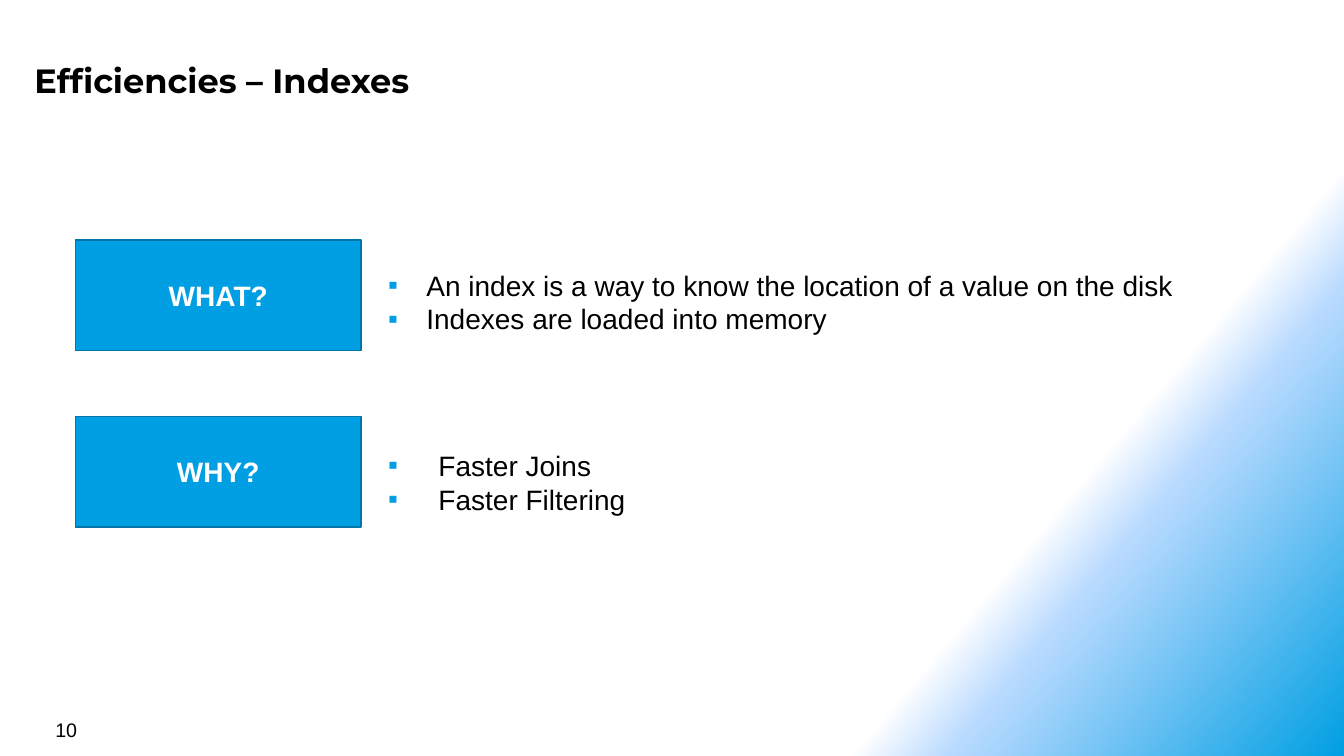
import copy

import pptx
import pptx.dml.color
import pptx.enum.shapes
import pptx.enum.text
import pptx.util
from lxml import etree

Inches, Pt = pptx.util.Inches, pptx.util.Pt
Align, Anchor = pptx.enum.text.PP_ALIGN, pptx.enum.text.MSO_ANCHOR
qn = pptx.oxml.ns.qn

COLORS = {"blue": "009FE3", "edge": "0076A8", "pale": "B9DAFF",
          "white": "FFFFFF", "black": "000000"}


def rgb(name):
    return pptx.dml.color.RGBColor.from_string(COLORS[name])


def write(shape, *lines, size=20, font="Arial", color="black", bold=False,
          align=Align.LEFT, anchor=Anchor.TOP, indent=0):
    """Fill a shape with paragraphs; an indent in inches makes them bullets."""
    frame = shape.text_frame
    frame.word_wrap = True
    frame.auto_size = pptx.enum.text.MSO_AUTO_SIZE.NONE
    frame.vertical_anchor = anchor
    frame.text = "\n".join(lines)
    for para in frame.paragraphs:
        para.alignment = align
        if indent:
            props = para._p.get_or_add_pPr()
            props.set("marL", str(Inches(indent)))
            props.set("indent", str(-Inches(indent)))
            tint = etree.SubElement(props, qn("a:buClr"))
            etree.SubElement(tint, qn("a:srgbClr"), val=COLORS["blue"])
            etree.SubElement(props, qn("a:buFont"), typeface="Arial")
            etree.SubElement(props, qn("a:buChar"), char="▪")
        for run in para.runs:
            run.font.size = Pt(size)
            run.font.name = font
            run.font.bold = bold
            run.font.color.rgb = rgb(color)


deck = pptx.Presentation()
deck.slide_width, deck.slide_height = Inches(13.33), Inches(7.5)
slide = deck.slides.add_slide(deck.slide_layouts[5])
shapes = slide.shapes

# Background: white fading to blue in the lower right corner
fill = slide.background.fill
fill.gradient()
fill.gradient_angle = 320
stops = slide.element.find(".//" + qn("a:gsLst"))
stops.append(copy.deepcopy(stops[-1]))
fades = [(0.75, "white"), (0.8, "pale"), (1, "blue")]
for stop, (share, name) in zip(fill.gradient_stops, fades):
    stop.position = share
    stop.color.rgb = rgb(name)

# Title
title = shapes.title
title.left, title.top = Inches(0.26), Inches(0.51)
title.width, title.height = Inches(12.26), Inches(0.55)
frame = title.text_frame
frame.margin_left = frame.margin_right = Inches(0.08)
frame.margin_top = frame.margin_bottom = Inches(0.08)
write(title, "Efficiencies – Indexes", size=24, font="Montserrat", bold=True)

# Rows: a label on the left, its bullets on the right
LEFT, TOP, STEP = 0.75, 2.38, 1.75
WIDE, HIGH = 2.83, 1.1
rows = [
    ("WHAT?", 0.38, 0.23, ["An index is a way to know the location of a value on the disk",
                           "Indexes are loaded into memory"]),
    ("WHY?", 0.5, 0.27, ["Faster Joins", "Faster Filtering"]),
]
for row, (label, indent, drop, points) in enumerate(rows):
    top = TOP + row * STEP
    box = shapes.add_shape(pptx.enum.shapes.MSO_SHAPE.RECTANGLE, Inches(LEFT),
                           Inches(top), Inches(WIDE), Inches(HIGH))
    box.shadow.inherit = False
    box.fill.solid()
    box.fill.fore_color.rgb = rgb("blue")
    box.line.color.rgb = rgb("edge")
    box.line.width = Pt(1)
    write(box, label, color="white", bold=True, align=Align.CENTER, anchor=Anchor.MIDDLE)
    text = shapes.add_textbox(Inches(3.75), Inches(top + drop), Inches(8.92), Inches(0.77))
    write(text, *points, indent=indent)

# Page number
page = shapes.add_textbox(Inches(0.45), Inches(7.07), Inches(3.11), Inches(0.33))
write(page, "10", size=14)

deck.save("out.pptx")
